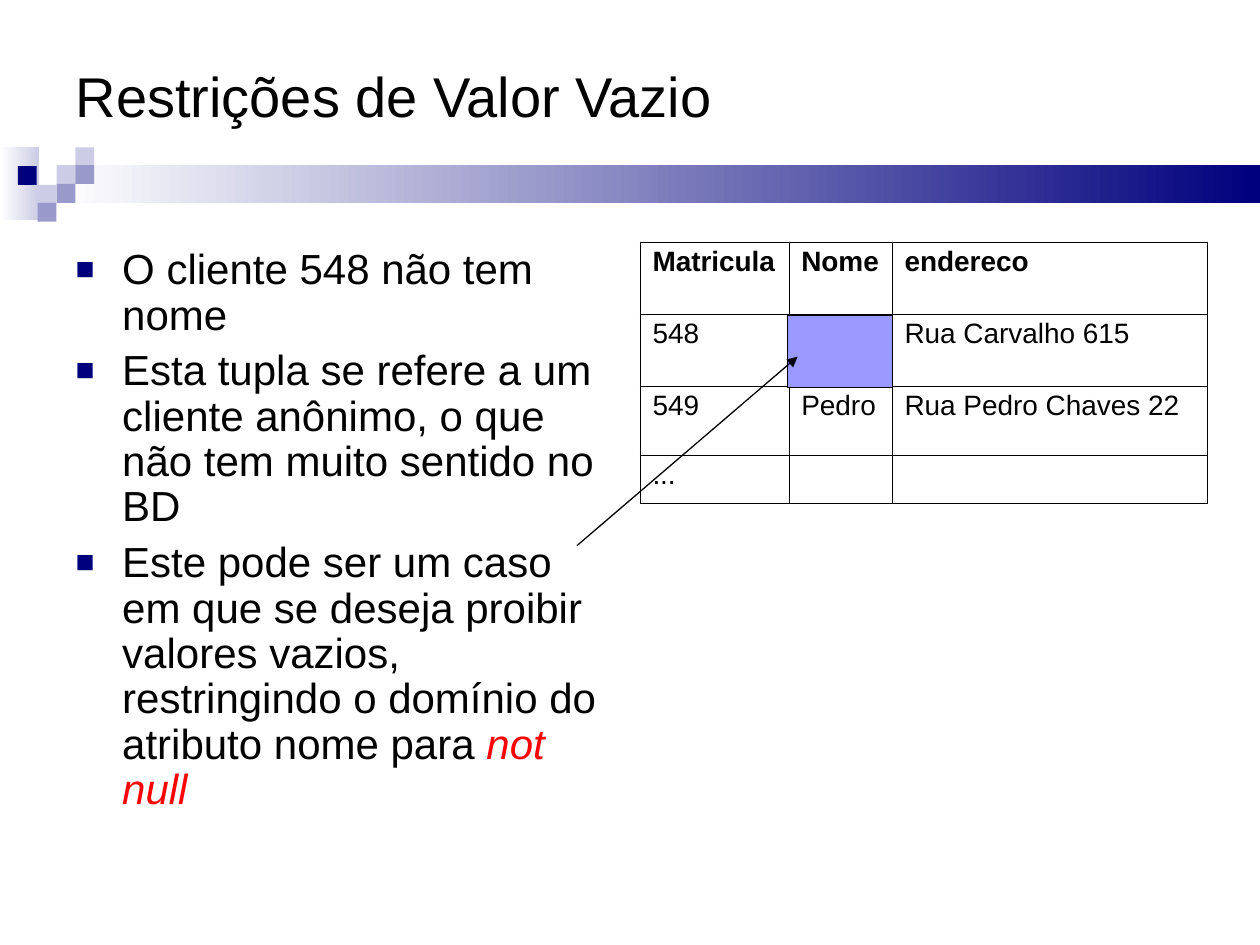
import pptx
import pptx.dml.color
import pptx.enum.shapes
import pptx.enum.text
import pptx.oxml
import pptx.oxml.ns
import pptx.util
from pptx.util import Cm

NAVY, LAVENDER, MIST, BLACK = "00007D", "9999CC", "CCCCE6", "000000"

TITLE = "Restrições de Valor Vazio"
BULLETS = [
    [("O cliente 548 não tem nome", {})],
    [("Esta tupla se refere a um cliente anônimo, o que não tem muito sentido no BD", {})],
    [("Este pode ser um caso em que se deseja proibir valores vazios, "
      "restringindo o domínio do atributo nome para ", {}),
     ("not null", {"color": "FF0000", "italic": True})],
]
ROWS = [
    ["Matricula", "Nome", "endereco"],
    ["548", "", "Rua Carvalho 615"],
    ["549", "Pedro", "Rua Pedro Chaves 22"],
    ["...", "", ""],
]
COLUMN_WIDTHS = [3, 2.08, 6.35]
ROW_HEIGHTS = [1.45, 1.45, 1.4, 0.97]

GRADIENT_BARS = [  # left, top, width, height, end colour
    (0, 2.97, 0.79, 1.47, MIST),
    (1.14, 3.33, 24.26, 0.76, NAVY),
]
SQUARE_SIDE = 0.38
SQUARES = [  # left, top, colour
    (1.14, 3.33, MIST), (1.52, 2.97, MIST), (1.52, 3.33, LAVENDER),
    (0.76, 3.73, MIST), (0.36, 3.35, NAVY), (1.14, 3.71, LAVENDER),
    (0.76, 4.09, LAVENDER),
]


def rgb(value):
    return pptx.dml.color.RGBColor.from_string(value)


def add_xml(parent, xml, index=None):
    """Parse a DrawingML fragment and put it at index, or last."""
    head, gap, rest = xml.partition(" ") if " " in xml.split(">")[0] else (xml[:xml.index("/")], "", "/>")
    element = pptx.oxml.parse_xml(f"{head} {pptx.oxml.ns.nsdecls('a')} {rest}")
    parent.insert(len(parent) if index is None else index, element)


def add_text(paragraph, text, size=24, color=BLACK, bold=False, italic=False):
    run = paragraph.add_run()
    run.text = text
    run.font.name = "Arial"
    run.font.size = pptx.util.Pt(size)
    run.font.bold = bold
    run.font.italic = italic
    run.font.color.rgb = rgb(color)


def add_rectangle(slide, left, top, width, height, color, gradient=False, line=None):
    shape = slide.shapes.add_shape(
        pptx.enum.shapes.MSO_SHAPE.RECTANGLE, Cm(left), Cm(top), Cm(width), Cm(height))
    shape.shadow.inherit = False
    if gradient:
        shape.fill.gradient()
        shape.fill.gradient_angle = 0
        for stop, stop_color in zip(shape.fill.gradient_stops, ("FFFFFF", color)):
            stop.color.rgb = rgb(stop_color)
    else:
        shape.fill.solid()
        shape.fill.fore_color.rgb = rgb(color)
    if line:
        shape.line.color.rgb = rgb(line)
        shape.line.width = pptx.util.Pt(0.75)
    else:
        shape.line.fill.background()


def place(placeholder, left, top, width, height, anchor):
    """Position a placeholder and bring it in front of what is drawn so far."""
    placeholder.left, placeholder.top = Cm(left), Cm(top)
    placeholder.width, placeholder.height = Cm(width), Cm(height)
    frame = placeholder.text_frame
    frame.auto_size = pptx.enum.text.MSO_AUTO_SIZE.NONE
    frame.vertical_anchor = anchor
    placeholder.element.getparent().append(placeholder.element)
    return frame


def fill_body(frame):
    for number, runs in enumerate(BULLETS):
        paragraph = frame.add_paragraph() if number else frame.paragraphs[0]
        paragraph.line_spacing = 0.9
        paragraph.space_before = pptx.util.Pt(6)
        for text, style in runs:
            add_text(paragraph, text, **style)
        properties = paragraph._p.get_or_add_pPr()
        properties.set("marL", str(Cm(0.94)))
        properties.set("indent", str(-Cm(0.94)))
        add_xml(properties, f'<a:buClr val=""><a:srgbClr val="{NAVY}"/></a:buClr>'.replace(' val=""', " ", 1))
        add_xml(properties, '<a:buSzPct val="75000"/>')
        add_xml(properties, '<a:buFont typeface="Arial"/>')
        add_xml(properties, '<a:buChar char="■"/>')


def add_borders(cell, row, column):
    """Draw hairlines, slightly heavier along the table's outer edge."""
    on_edge = {"L": column == 0, "R": column == len(COLUMN_WIDTHS) - 1,
               "T": row == 0, "B": row == len(ROWS) - 1}
    for index, (side, outer) in enumerate(on_edge.items()):
        width = pptx.util.Pt(0.23 if outer else 0.11)
        add_xml(cell._tc.get_or_add_tcPr(),
                f'<a:ln{side} w="{width}"><a:solidFill><a:srgbClr val="{BLACK}"/>'
                f'</a:solidFill></a:ln{side}>', index)


def add_data_table(slide):
    table = slide.shapes.add_table(
        len(ROWS), len(COLUMN_WIDTHS), Cm(12.9), Cm(4.88),
        Cm(sum(COLUMN_WIDTHS)), Cm(sum(ROW_HEIGHTS))).table
    table.first_row = table.horz_banding = False
    for column, width in zip(table.columns, COLUMN_WIDTHS):
        column.width = Cm(width)
    for row, height in zip(table.rows, ROW_HEIGHTS):
        row.height = Cm(height)
    for row, texts in enumerate(ROWS):
        for column, text in enumerate(texts):
            cell = table.cell(row, column)
            paragraph = cell.text_frame.paragraphs[0]
            paragraph.line_spacing = 0.93
            paragraph.space_before = pptx.util.Pt(4)
            add_text(paragraph, text, size=16, bold=row == 0)
            cell.fill.background()
            add_borders(cell, row, column)


def add_arrow(slide, start, end):
    arrow = slide.shapes.add_connector(
        pptx.enum.shapes.MSO_CONNECTOR.STRAIGHT, *map(Cm, start + end))
    arrow.line.color.rgb = rgb(BLACK)
    arrow.line.width = pptx.util.Pt(0.75)
    add_xml(arrow.line._get_or_add_ln(), '<a:tailEnd type="triangle"/>')
    add_xml(arrow.element.spPr, "<a:effectLst/>")


def main():
    presentation = pptx.Presentation()
    presentation.slide_width, presentation.slide_height = Cm(25.4), Cm(19.05)
    slide = presentation.slides.add_slide(presentation.slide_layouts[1])
    title, body = slide.placeholders

    for *box, color in GRADIENT_BARS:
        add_rectangle(slide, *box, color, gradient=True)
    for left, top, color in SQUARES:
        add_rectangle(slide, left, top, SQUARE_SIDE, SQUARE_SIDE, color)

    anchors = pptx.enum.text.MSO_ANCHOR
    heading = place(title, 1.27, 0.64, 22.86, 2.54, anchors.MIDDLE).paragraphs[0]
    heading.alignment = pptx.enum.text.PP_ALIGN.LEFT
    add_text(heading, TITLE, size=32)
    fill_body(place(body, 1.27, 4.88, 11.23, 12.27, anchors.TOP))

    add_data_table(slide)
    add_rectangle(slide, 15.88, 6.35, 2.11, 1.47, "9999FF", line=BLACK)
    add_arrow(slide, (11.63, 11), (16.08, 7.19))
    presentation.save("out.pptx")


if __name__ == "__main__":
    main()
